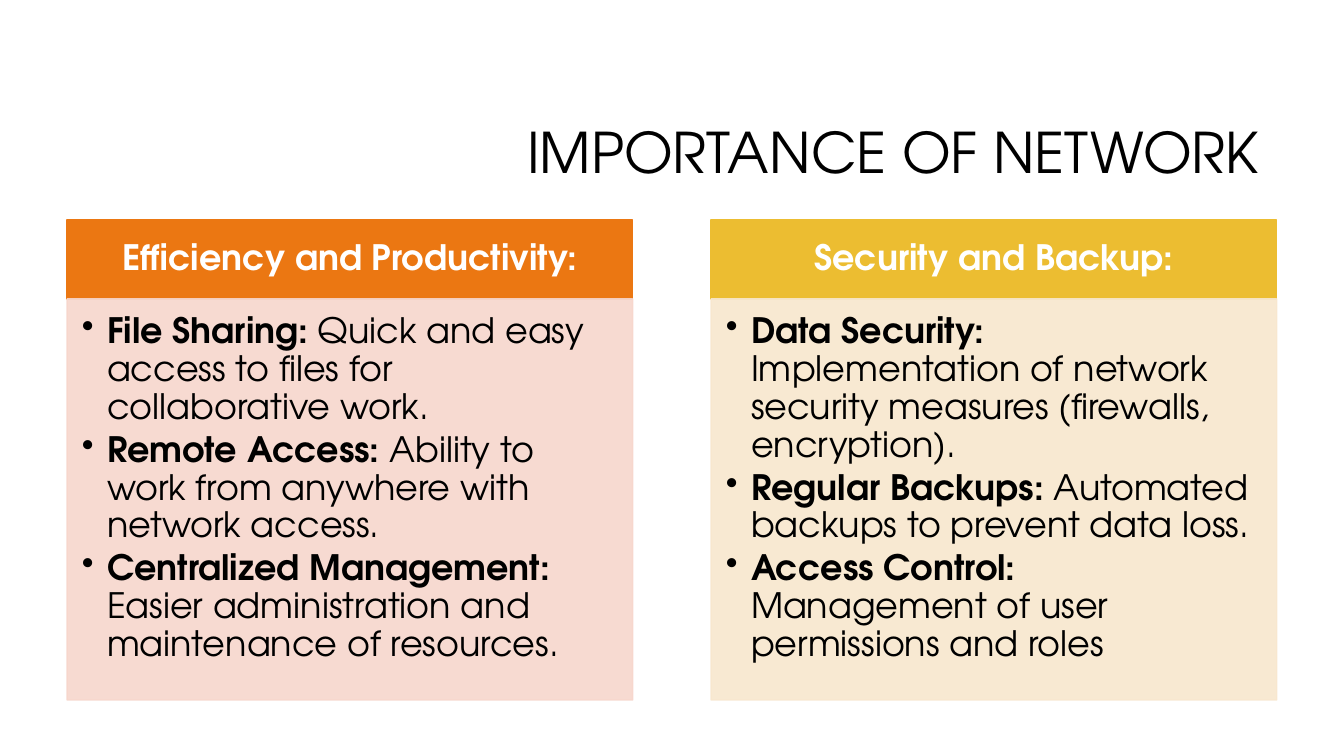
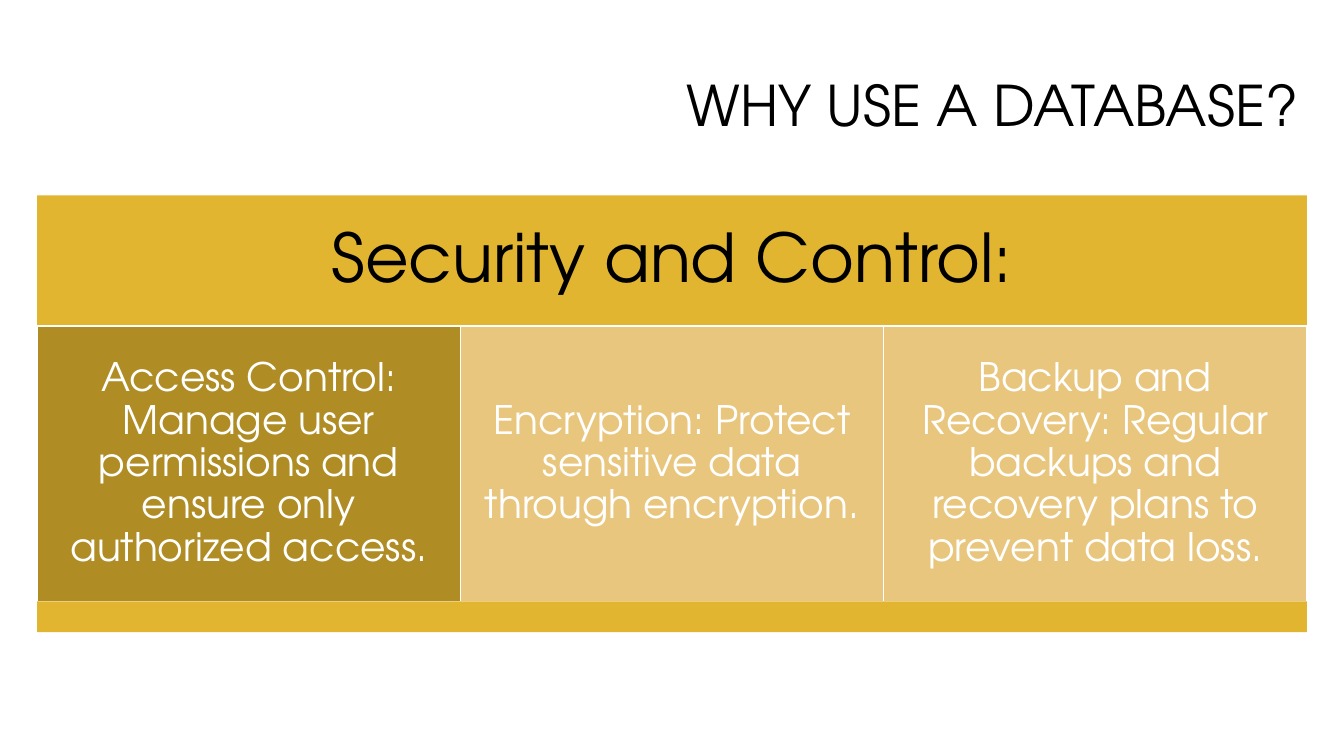
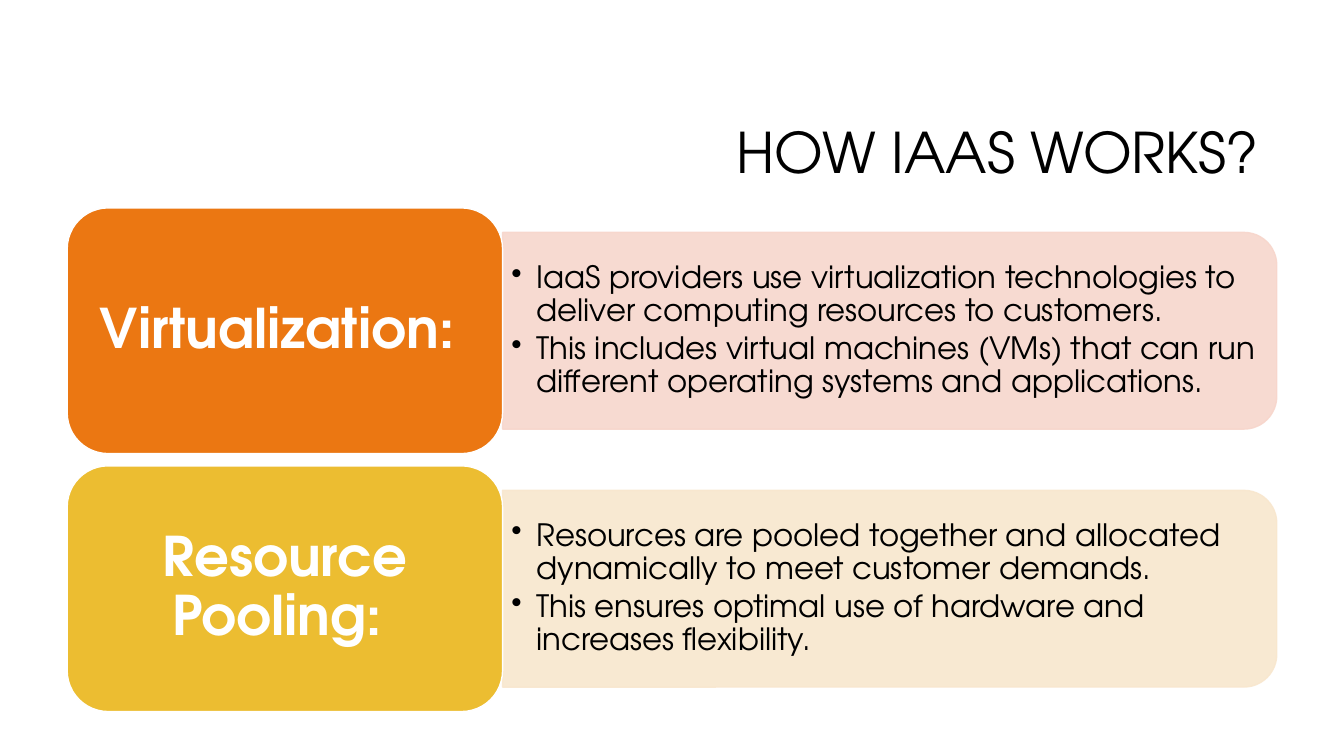
"""Build three slides on networks, databases and IaaS."""
from dataclasses import dataclass, replace

import lxml.etree
import pptx
import pptx.dml.color
import pptx.dml.fill
import pptx.enum.shapes
import pptx.enum.text
import pptx.oxml.ns
import pptx.shapes.autoshape
import pptx.slide
import pptx.util

Pt = pptx.util.Pt
Color = pptx.dml.color.RGBColor
Kind = pptx.enum.shapes.MSO_SHAPE
Align = pptx.enum.text.PP_ALIGN
Anchor = pptx.enum.text.MSO_ANCHOR

FONT = "TeX Gyre Adventor"
BLACK = Color(0x00, 0x00, 0x00)
WHITE = Color(0xFF, 0xFF, 0xFF)
ORANGE = Color(0xEB, 0x77, 0x12)
YELLOW = Color(0xEC, 0xBD, 0x31)
PINK = Color(0xF7, 0xD6, 0xCC)
CREAM = Color(0xF8, 0xE7, 0xCE)
GOLD = Color(0xE1, 0xB5, 0x2F)
BRONZE = Color(0xAF, 0x8C, 0x24)
SAND = Color(0xE9, 0xC6, 0x7D)

WIDTH, HEIGHT = 960, 540
MARGIN = 48


@dataclass(frozen=True)
class Box:
    left: float
    top: float
    width: float
    height: float


@dataclass(frozen=True)
class Style:
    size: float
    color: Color = BLACK
    bold: bool = False
    align: Align = Align.CENTER
    anchor: Anchor = Anchor.MIDDLE
    inset: tuple[float, float, float, float] = (7.2, 3.6, 7.2, 3.6)
    bullet: bool = False


@dataclass(frozen=True)
class Item:
    text: str
    lead: str = ""


@dataclass(frozen=True)
class Panel:
    head: str
    color: Color
    tint: Color
    items: tuple[Item, ...]


@dataclass(frozen=True)
class Cell:
    text: str
    color: Color


TITLE = Style(40, align=Align.RIGHT)
HEAD = Style(25, WHITE, True, inset=(14, 8, 14, 8))
LIST = Style(25, align=Align.LEFT, anchor=Anchor.TOP, inset=(10.5, 10.5, 14, 16), bullet=True)
BANNER = Style(48, inset=(14, 14, 14, 14))
CELL = Style(28, WHITE, inset=(8.5, 8.5, 8.5, 8.5))
TILE = Style(39, WHITE, True, inset=(11.5, 6, 11.5, 6))
NOTE = replace(LIST, size=22, anchor=Anchor.MIDDLE, inset=(6.25, 3.25, 6.25, 3.25))
HIGH = Box(228.5, 60.5, 678, 101.5)
WIDE = Box(70.5, 22.5, 864, 110)

BENEFITS = (
    Panel("Efficiency and Productivity:", ORANGE, PINK, (
        Item(" Quick and easy access to files for collaborative work.", "File Sharing:"),
        Item(" Ability to work from anywhere with network access.", "Remote Access:"),
        Item(" Easier administration and maintenance of resources.", "Centralized Management:"),
    )),
    Panel("Security and Backup:", YELLOW, CREAM, (
        Item(" Implementation of network security measures (firewalls, encryption).", "Data Security:"),
        Item(" Automated backups to prevent data loss.", "Regular Backups:"),
        Item(" Management of user permissions and roles", "Access Control:"),
    )),
)
CONTROLS = (
    Cell("Access Control: Manage user permissions and ensure only authorized access.", BRONZE),
    Cell("Encryption: Protect sensitive data through encryption.", SAND),
    Cell("Backup and Recovery: Regular backups and recovery plans to prevent data loss.", SAND),
)
STEPS = (
    Panel("Virtualization: ", ORANGE, PINK, (
        Item("IaaS providers use virtualization technologies to deliver computing resources to customers."),
        Item("This includes virtual machines (VMs) that can run different operating systems and applications."),
    )),
    Panel("Resource Pooling: ", YELLOW, CREAM, (
        Item("Resources are pooled together and allocated dynamically to meet customer demands."),
        Item("This ensures optimal use of hardware and increases flexibility."),
    )),
)


def place(box: Box) -> tuple[Pt, Pt, Pt, Pt]:
    """Give a box as four lengths."""
    return Pt(box.left), Pt(box.top), Pt(box.width), Pt(box.height)


def fade(fill: pptx.dml.fill.FillFormat, color: Color, alpha: int) -> None:
    """Fill with a colour at an opacity in percent."""
    fill.solid()
    fill.fore_color.rgb = color
    if alpha < 100:
        tone = fill._xPr.find(".//" + pptx.oxml.ns.qn("a:srgbClr"))
        lxml.etree.SubElement(tone, pptx.oxml.ns.qn("a:alpha"), val=str(alpha * 1000))


def block(slide: pptx.slide.Slide, box: Box, color: Color, edge: Color | None = None,
          kind: Kind = Kind.RECTANGLE, alpha: int = 100) -> pptx.shapes.autoshape.Shape:
    """Draw a filled shape, with an edge if one is given."""
    shape = slide.shapes.add_shape(kind, *place(box))
    shape.shadow.inherit = False
    fade(shape.fill, color, alpha)
    if edge is None:
        shape.line.fill.background()
    else:
        fade(shape.line.fill, edge, alpha)
        shape.line.width = Pt(1)
    return shape


def write(shape: pptx.shapes.autoshape.Shape, items: tuple[Item, ...], style: Style) -> None:
    """Write one paragraph per item into a shape."""
    frame = shape.text_frame
    frame.word_wrap = True
    frame.vertical_anchor = style.anchor
    (frame.margin_left, frame.margin_top,
     frame.margin_right, frame.margin_bottom) = map(Pt, style.inset)
    for index, item in enumerate(items):
        para = frame.add_paragraph() if index else frame.paragraphs[0]
        para.alignment = style.align
        para.line_spacing = 0.9
        if index:
            para.space_before = Pt(style.size * 0.15)
        if style.bullet:
            props = para._p.get_or_add_pPr()
            props.set("marL", str(Pt(18)))
            props.set("indent", str(-Pt(18)))
            lxml.etree.SubElement(props, pptx.oxml.ns.qn("a:buChar"), char="•")
        font = para.font
        font.name, font.size, font.bold = FONT, Pt(style.size), style.bold
        font.color.rgb = style.color
        if item.lead:
            lead = para.add_run()
            lead.text = item.lead
            lead.font.bold = True
        para.add_run().text = item.text


def label(slide: pptx.slide.Slide, box: Box, items: tuple[Item, ...], style: Style) -> None:
    """Add a text box."""
    write(slide.shapes.add_textbox(*place(box)), items, style)


def start(deck: pptx.presentation.Presentation, title: str, box: Box) -> pptx.slide.Slide:
    """Add a blank slide with its title."""
    slide = deck.slides.add_slide(deck.slide_layouts[6])
    label(slide, box, (Item(title),), TITLE)
    return slide


def network(deck: pptx.presentation.Presentation) -> None:
    """Draw two headed lists side by side."""
    slide = start(deck, "IMPORTANCE OF NETWORK", HIGH)
    width, top, head, body = 404, 157, 56.5, 286.5
    step = WIDTH - 2 * MARGIN - width
    for index, panel in enumerate(BENEFITS):
        left = MARGIN + index * step
        bar = block(slide, Box(left, top, width, head), panel.color, panel.color)
        write(bar, (Item(panel.head),), HEAD)
        area = block(slide, Box(left, top + head, width, body), panel.tint, panel.tint, alpha=90)
        write(area, panel.items, LIST)


def database(deck: pptx.presentation.Presentation) -> None:
    """Draw a banner over a row of cells."""
    slide = start(deck, "WHY USE A DATABASE?", WIDE)
    left, top, head, body, foot = 26.5, 139.5, 93.5, 196.5, 22
    width = WIDTH - 2 * left
    banner = block(slide, Box(left, top, width, head), GOLD)
    write(banner, (Item("Security and Control:"),), BANNER)
    part = width / len(CONTROLS)
    for index, cell in enumerate(CONTROLS):
        box = Box(left + index * part, top + head, part, body)
        write(block(slide, box, cell.color, WHITE), (Item(cell.text),), CELL)
    block(slide, Box(left, top + head + body, width, foot), GOLD)


def service(deck: pptx.presentation.Presentation) -> None:
    """Draw rows of a tile and its notes."""
    slide = start(deck, "HOW IAAS WORKS?", HIGH)
    top, step, width, height = 148.5, 184.25, 311, 175.5
    left = MARGIN + width
    reach, depth, tall = WIDTH - MARGIN - left, 140.5, 126.5
    for index, panel in enumerate(STEPS):
        head = top + index * step
        mid = head + height / 2
        back = Box(left + (reach - depth) / 2, mid - reach / 2, depth, reach)
        flag = block(slide, back, panel.tint, panel.tint, Kind.ROUND_2_SAME_RECTANGLE, 90)
        flag.rotation = 90
        label(slide, Box(left, mid - tall / 2, 546, tall), panel.items, NOTE)
        tile = block(slide, Box(MARGIN, head, width, height), panel.color, WHITE,
                     Kind.ROUNDED_RECTANGLE)
        write(tile, (Item(panel.head),), TILE)


def main() -> None:
    """Build and save the deck."""
    deck = pptx.Presentation()
    deck.slide_width, deck.slide_height = Pt(WIDTH), Pt(HEIGHT)
    network(deck)
    database(deck)
    service(deck)
    deck.save("out.pptx")


if __name__ == "__main__":
    main()
